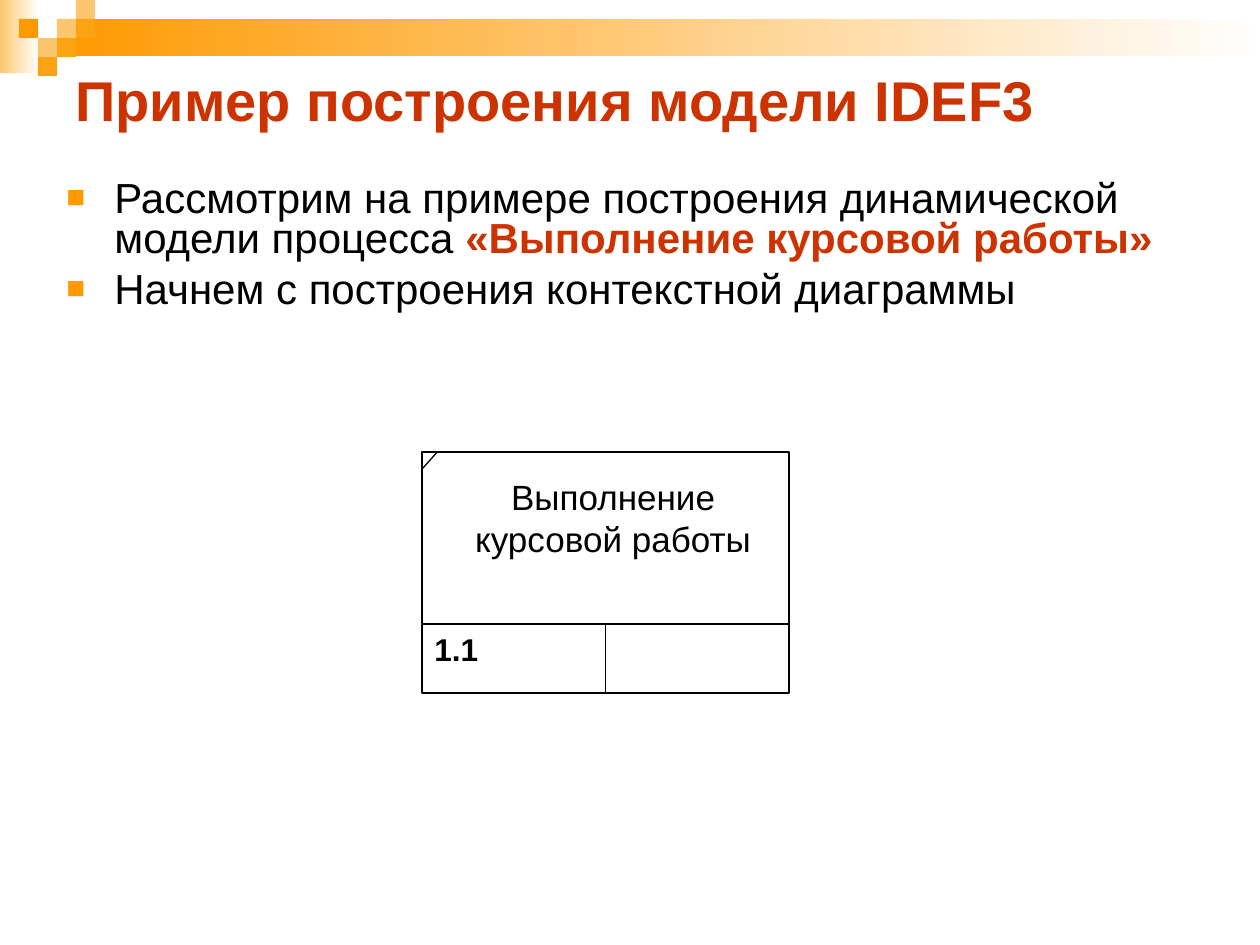
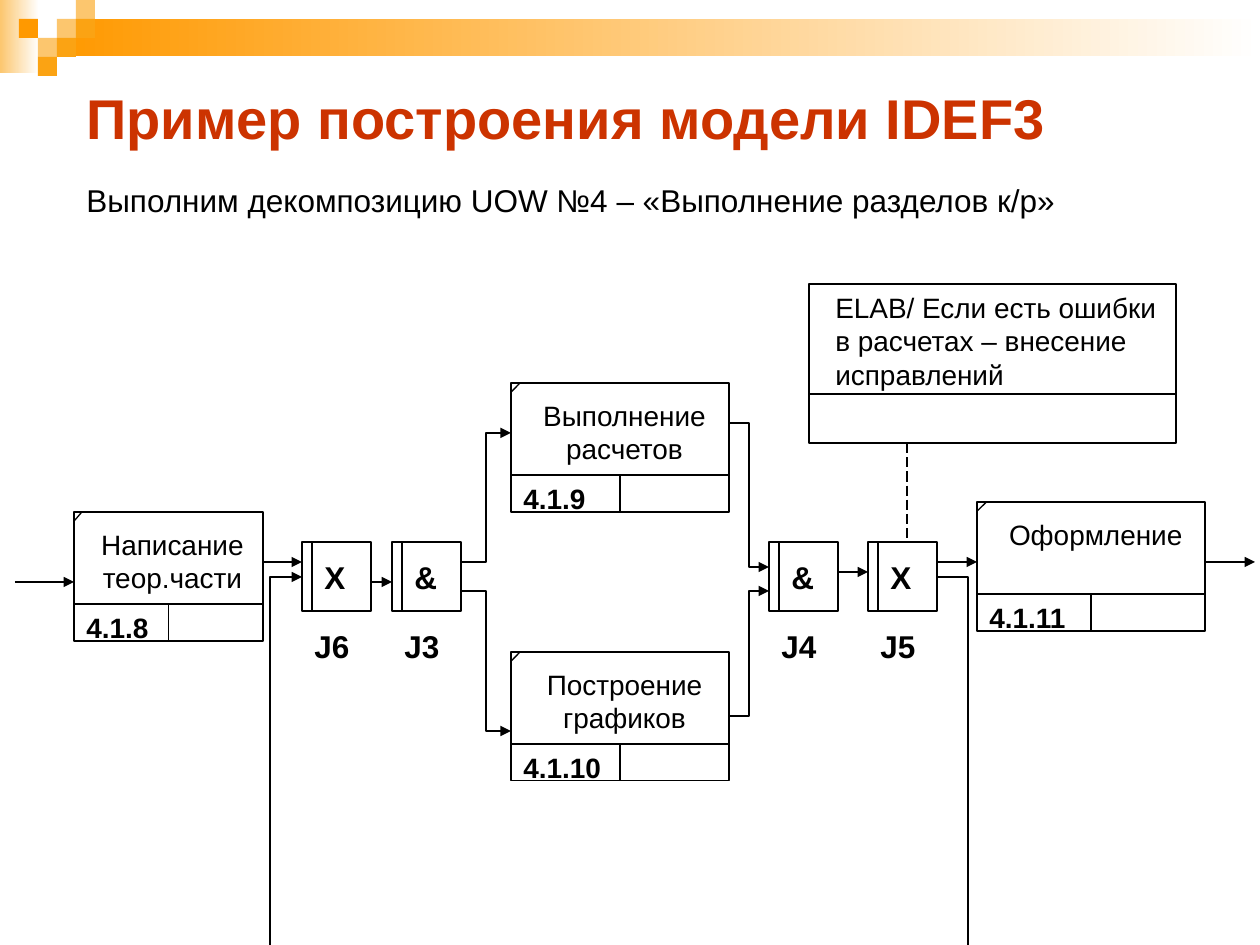
import pptx
import pptx.dml.color
import pptx.enum.dml
import pptx.enum.shapes
import pptx.enum.text
import pptx.oxml
import pptx.oxml.ns
import pptx.util

EMU_PER_PX = 914400 / 126
PAGE_WIDTH, PAGE_HEIGHT = 1260, 945
FONT = "Arial"
BLACK, WHITE, RED = "000000", "FFFFFF", "CC3300"
ORANGE, MID_ORANGE, LIGHT_ORANGE = "FF9900", "FBA313", "FCC66E"
TITLE = "Пример построения модели IDEF3"
LINE_WIDTH = 0.75
RECTANGLE = pptx.enum.shapes.MSO_SHAPE.RECTANGLE
STRAIGHT = pptx.enum.shapes.MSO_CONNECTOR.STRAIGHT
ELBOW = pptx.enum.shapes.MSO_CONNECTOR.ELBOW
LONG_DASH = pptx.enum.dml.MSO_LINE.LONG_DASH
CENTER = pptx.enum.text.PP_ALIGN.CENTER
MIDDLE = pptx.enum.text.MSO_ANCHOR.MIDDLE


def px(*lengths):
    return [round(length * EMU_PER_PX) for length in lengths]


def colour(value):
    return pptx.dml.color.RGBColor.from_string(value)


def add_element(parent, tag, **attributes):
    child = pptx.oxml.parse_xml(f"<a:{tag} {pptx.oxml.ns.nsdecls('a')}/>")
    for name, value in attributes.items():
        child.set(name, str(value))
    parent.append(child)
    return child


def style_line(shape, arrow=False, dash=None):
    shape.line.color.rgb = colour(BLACK)
    shape.line.width = pptx.util.Pt(LINE_WIDTH)
    if dash is not None:
        shape.line.dash_style = dash
    if arrow:
        outline = shape.element.spPr.find(pptx.oxml.ns.qn("a:ln"))
        add_element(outline, "tailEnd", type="triangle")


def add_block(page, left, top, width, height, fill):
    """Add a borderless rectangle; a pair of colours gives a gradient to the right."""
    block = page.shapes.add_shape(RECTANGLE, *px(left, top, width, height))
    block.shadow.inherit = False
    block.line.fill.background()
    if isinstance(fill, str):
        block.fill.solid()
        block.fill.fore_color.rgb = colour(fill)
    else:
        block.fill.gradient()
        block.fill.gradient_angle = 0
        for stop, value in zip(block.fill.gradient_stops, fill):
            stop.color.rgb = colour(value)


def add_frame(page, left, top, width, height):
    frame = page.shapes.add_shape(RECTANGLE, *px(left, top, width, height))
    frame.shadow.inherit = False
    frame.fill.background()
    style_line(frame)


def add_line(page, start, end, kind=STRAIGHT, arrow=False, dash=None):
    line = page.shapes.add_connector(kind, *px(*start, *end))
    style_line(line, arrow, dash)
    add_element(line.element.spPr, "effectLst")


def add_polyline(page, points, arrow=False):
    builder = page.shapes.build_freeform(*px(*points[0]))
    builder.add_line_segments([px(*point) for point in points[1:]], close=False)
    polyline = builder.convert_to_shape()
    polyline.shadow.inherit = False
    polyline.fill.background()
    style_line(polyline, arrow)


def set_font(font, size, value=BLACK, bold=False):
    font.name = FONT
    font.size = pptx.util.Pt(size)
    font.bold = bold
    font.color.rgb = colour(value)


def add_text_box(page, left, top, width, height):
    box = page.shapes.add_textbox(*px(left, top, width, height))
    box.text_frame.word_wrap = True
    return box.text_frame


def add_text(page, area, text, size, value=BLACK, bold=False, align=None, anchor=None):
    text_frame = add_text_box(page, *area)
    text_frame.vertical_anchor = anchor
    para = text_frame.paragraphs[0]
    para.text = text
    para.alignment = align
    set_font(para.font, size, value, bold)


def add_bullets(page, area, items, size):
    """Each item is a list of (text, emphasised) spans."""
    text_frame = add_text_box(page, *area)
    for index, item in enumerate(items):
        para = text_frame.add_paragraph() if index else text_frame.paragraphs[0]
        indent = px(48)[0]
        properties = para._p.get_or_add_pPr()
        properties.set("marL", str(indent))
        properties.set("indent", str(-indent))
        add_element(add_element(properties, "buClr"), "srgbClr", val=ORANGE)
        add_element(properties, "buSzPct", val=75000)
        add_element(properties, "buFont", typeface=FONT)
        add_element(properties, "buChar", char="■")
        para.line_spacing = 0.8
        if index:
            para.space_before = pptx.util.Pt(6)
        set_font(para.font, size)
        for text, emphasised in item:
            span = para.add_run()
            span.text = text
            set_font(span.font, size, RED if emphasised else BLACK, emphasised)


def add_decoration(page):
    cell = 19
    add_block(page, 0, 0, 39, 73, (LIGHT_ORANGE, WHITE))
    add_block(page, 3 * cell, cell, PAGE_WIDTH - 3 * cell, 2 * cell - 1, (ORANGE, WHITE))
    squares = {
        LIGHT_ORANGE: [(3, 1), (4, 0), (2, 2)],
        MID_ORANGE: [(4, 1), (3, 2), (2, 3)],
        ORANGE: [(1, 1)],
    }
    for fill, cells in squares.items():
        for column, row in cells:
            add_block(page, column * cell, row * cell, cell, cell, fill)


def add_page(deck, title_area):
    page = deck.slides.add_slide(deck.slide_layouts[6])
    add_decoration(page)
    add_text(page, title_area, TITLE, 32, RED, bold=True, anchor=MIDDLE)
    return page


def add_work_unit(page, area, label, number, label_size=16, number_size=16):
    """Draw a unit of work: cut corner, label, and a split bottom row with its number."""
    left, top, width, height = area
    right, bottom, middle = left + width, top + height, left + width / 2
    divider = top + height * 5 / 7
    corner_x, corner_y = left + width / 24, top + height / 14
    add_frame(page, *area)
    add_line(page, (left, divider), (right, divider))
    add_line(page, (middle, divider), (middle, bottom))
    add_line(page, (corner_x, top), (left, corner_y))
    add_text(page, (left, divider, width / 2, bottom - divider), number, number_size, bold=True)
    label_area = (corner_x, corner_y, right - corner_x, divider - corner_y)
    add_text(page, label_area, label, label_size, align=CENTER)


def add_junction(page, left, top, symbol, name):
    size, stripe = 69, 10
    add_frame(page, left, top, size, size)
    add_line(page, (left + stripe, top), (left + stripe, top + size))
    add_text(page, (left + stripe, top + stripe, 40, 50), symbol, 18, bold=True)
    add_text(page, (left, top + size + stripe, size, 50), name, 18, bold=True)


def add_note(page, area, text):
    left, top, width, height = area
    divider = top + 110
    add_frame(page, *area)
    add_line(page, (left, divider), (left + width, divider))
    add_text(page, (left + 14, top, width - 14, divider - top), text, 16)


def build_context_page(deck):
    page = add_page(deck, (63, 63, 1134, 72))
    items = [
        [
            ("Рассмотрим на примере построения динамической модели процесса ", False),
            ("«Выполнение курсовой работы»", True),
        ],
        [("Начнем с построения контекстной диаграммы", False)],
    ]
    add_bullets(page, (54, 175, 1134, 159), items, 24)
    unit_area = (422, 452, 367, 241)
    add_work_unit(page, unit_area, "Выполнение курсовой работы", "1.1", 20, 18)


def build_decomposition_page(deck):
    page = add_page(deck, (74, 76, 1134, 82))
    subtitle = "Выполним декомпозицию UOW №4 – «Выполнение разделов к/р»"
    add_text(page, (74, 175, 1132, 50), subtitle, 18)

    work_units = [
        (74, 512, 189, "Написание теор.части", "4.1.8"),
        (511, 383, 218, "Выполнение расчетов", "4.1.9"),
        (511, 652, 218, "Построение графиков", "4.1.10"),
        (977, 502, 228, "Оформление", "4.1.11"),
    ]
    for left, top, width, label, number in work_units:
        add_work_unit(page, (left, top, width, 129), label, number)

    junctions = [(302, "Х", "J6"), (392, "&", "J3"), (769, "&", "J4"), (868, "Х", "J5")]
    for left, symbol, name in junctions:
        add_junction(page, left, 542, symbol, name)

    note = "ELAB/ Если есть ошибки в расчетах – внесение исправлений"
    add_note(page, (809, 284, 367, 159), note)
    add_line(page, (907, 443), (907, 542), dash=LONG_DASH)

    straight_flows = [
        (15, 74, 582),
        (263, 302, 562),
        (371, 392, 582),
        (838, 868, 572),
        (937, 977, 562),
        (1205, 1255, 562),
    ]
    for start_x, end_x, y in straight_flows:
        add_line(page, (start_x, y), (end_x, y), arrow=True)

    branch_flows = [
        ((461, 562), (511, 433)),
        ((461, 591), (511, 731)),
        ((729, 423), (769, 567)),
        ((729, 716), (769, 591)),
    ]
    for start, end in branch_flows:
        add_line(page, start, end, ELBOW, arrow=True)

    loop_y = 577
    add_polyline(page, [(937, loop_y), (968, loop_y), (968, PAGE_HEIGHT)])
    add_polyline(page, [(270, PAGE_HEIGHT), (270, loop_y), (302, loop_y)], arrow=True)


def main():
    deck = pptx.Presentation()
    deck.slide_width, deck.slide_height = px(PAGE_WIDTH, PAGE_HEIGHT)
    build_context_page(deck)
    build_decomposition_page(deck)
    deck.save("out.pptx")


if __name__ == "__main__":
    main()
